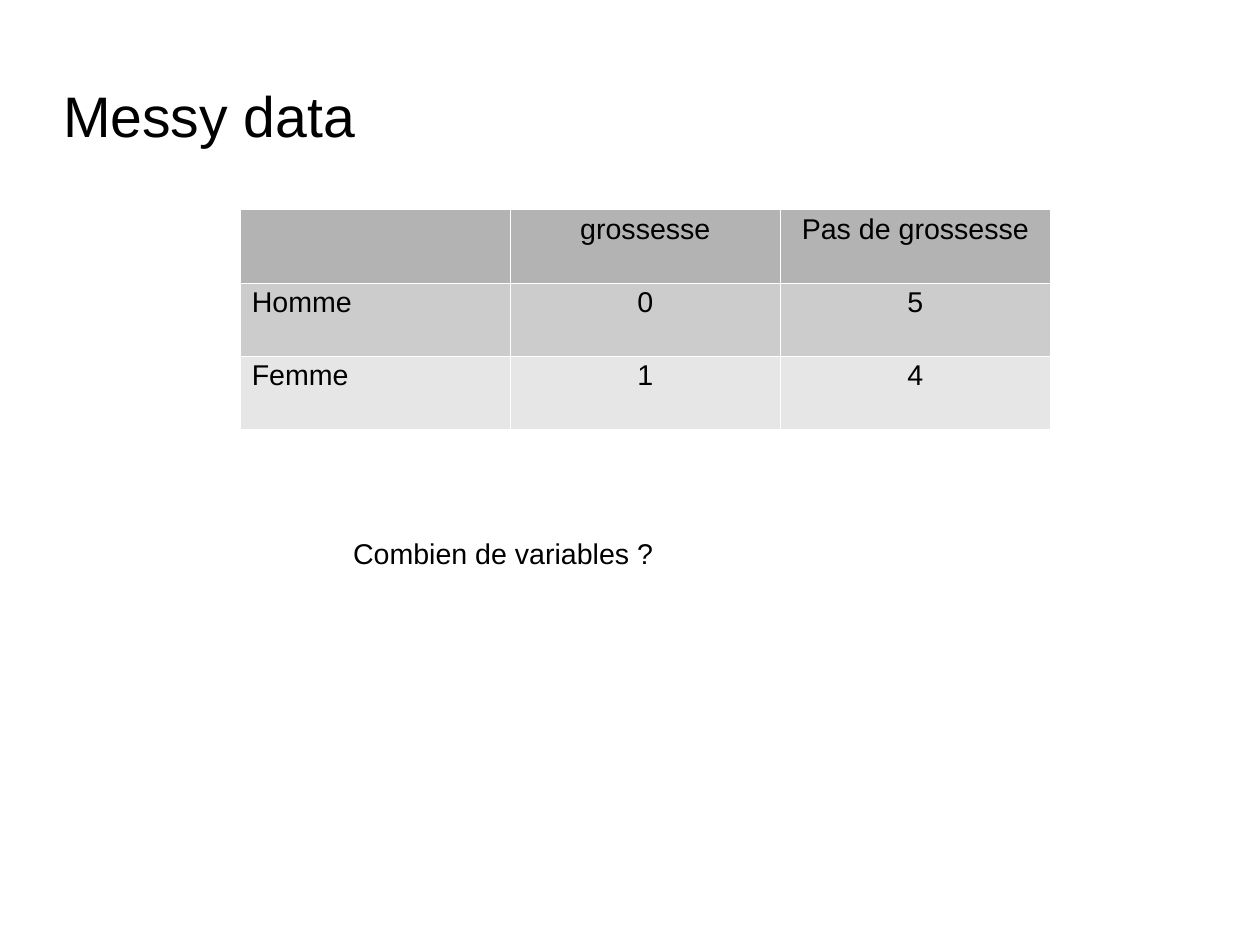
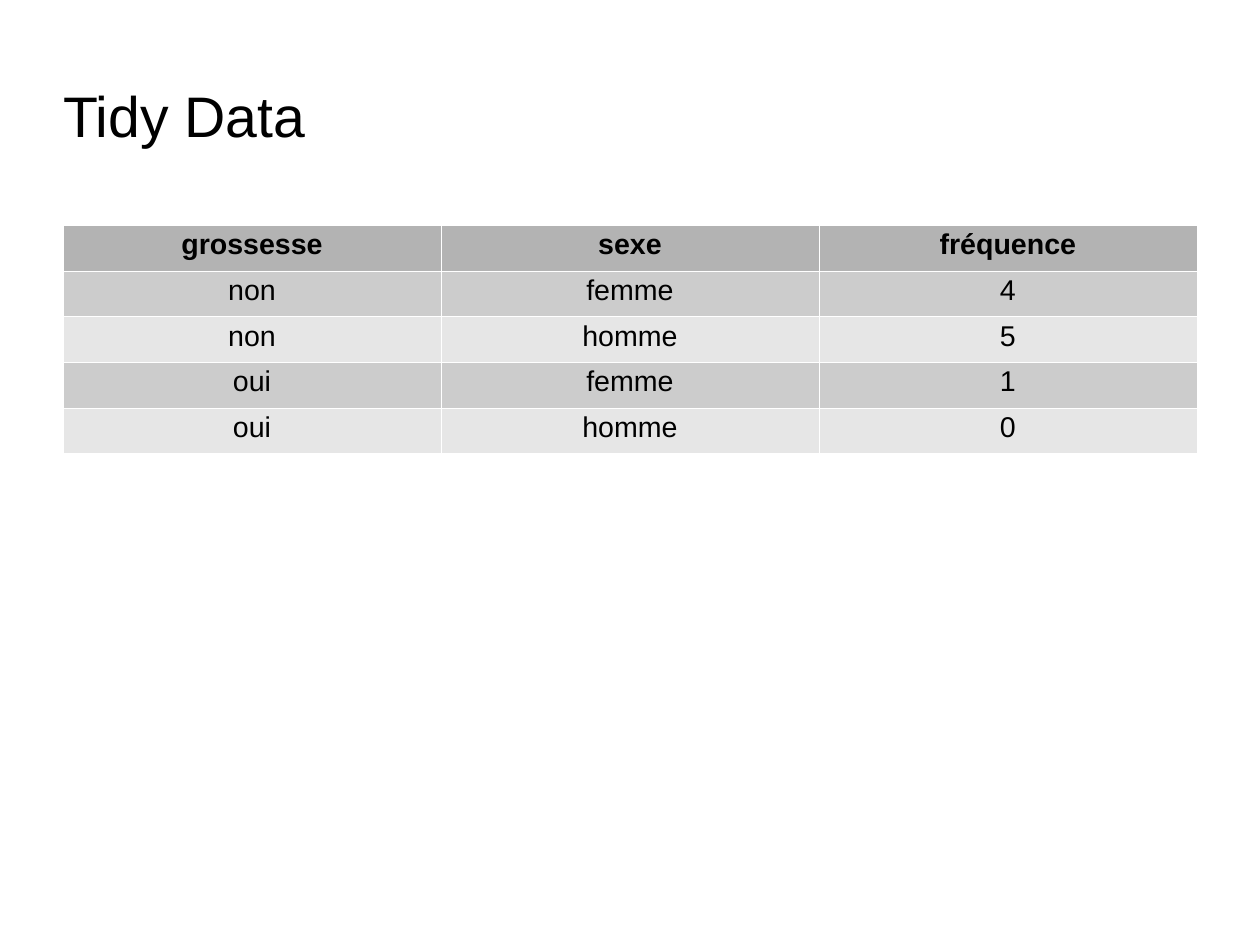
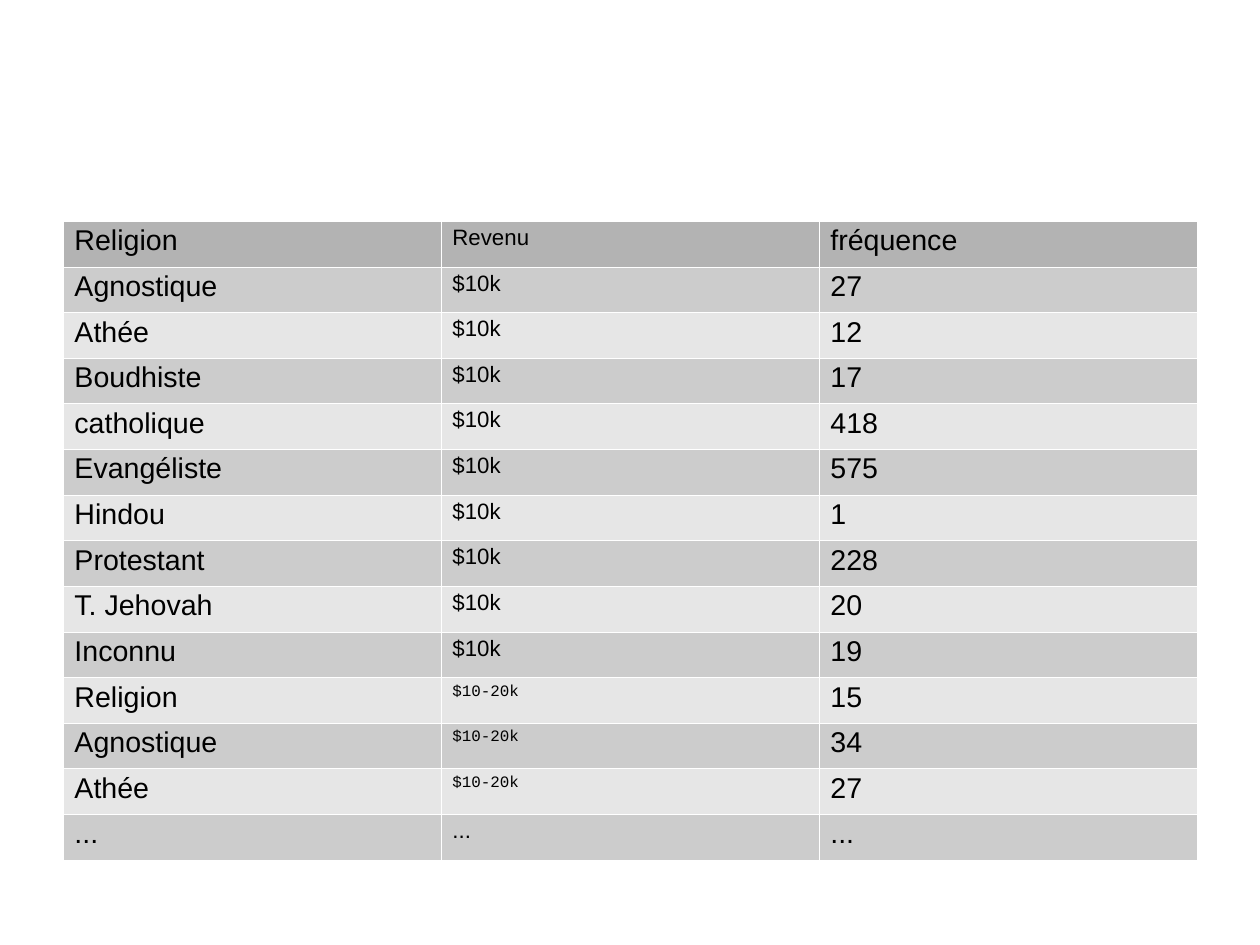
import lxml.etree
import pptx
import pptx.dml.color
import pptx.enum.text
import pptx.oxml.ns
import pptx.util

Pt = pptx.util.Pt
ALIGN = pptx.enum.text.PP_ALIGN
ANCHOR = pptx.enum.text.MSO_ANCHOR

COLORS = {
    "text": "000000",
    "header": "B3B3B3",
    "odd_row": "CCCCCC",
    "even_row": "E6E6E6",
    "border": "FFFFFF",
}
SANS, MONO = "Arial", "Courier New"
BODY_SIZE = 18
LINE_SPACING = 0.94
MARGIN = 39.7
TITLE_BOX = (MARGIN, 45.2, 566.9, 56.7)
WIDE_COLUMN = 238.1
ROW_HEIGHT = 28.76
BORDER_WIDTH = 0.06

INCOME_ROWS = [
    ("Agnostique", "$10k", "27"),
    ("Athée", "$10k", "12"),
    ("Boudhiste", "$10k", "17"),
    ("catholique", "$10k", "418"),
    ("Evangéliste", "$10k", "575"),
    ("Hindou", "$10k", "1"),
    ("Protestant", "$10k", "228"),
    ("T. Jehovah", "$10k", "20"),
    ("Inconnu", "$10k", "19"),
    ("Religion", "$10-20k", "15"),
    ("Agnostique", "$10-20k", "34"),
    ("Athée", "$10-20k", "27"),
    ("...", "...", "..."),
]


def color(name):
    return pptx.dml.color.RGBColor.from_string(COLORS[name])


def write(frame, text, size=BODY_SIZE, font=SANS, bold=False, align=ALIGN.LEFT,
          spacing=LINE_SPACING):
    para = frame.paragraphs[0]
    para.alignment = align
    para.line_spacing = spacing
    span = para.add_run()
    span.text = text
    span.font.size = Pt(size)
    span.font.name = font
    span.font.bold = bold
    span.font.color.rgb = color("text")


def add_text(page, box, insets, text, anchor=ANCHOR.TOP, **style):
    """Insets are left, top, right and bottom."""
    frame = page.shapes.add_textbox(*map(Pt, box)).text_frame
    frame.word_wrap = True
    frame.vertical_anchor = anchor
    (frame.margin_left, frame.margin_top,
     frame.margin_right, frame.margin_bottom) = map(Pt, insets)
    write(frame, text, **style)


def add_title(page, text):
    add_text(page, TITLE_BOX, (0, 2.2, 0, 0), text, ANCHOR.MIDDLE, size=36)


def add_borders(cell):
    properties = cell._tc.get_or_add_tcPr()
    qn = pptx.oxml.ns.qn
    for side in ("a:lnL", "a:lnR", "a:lnT", "a:lnB"):
        line = lxml.etree.SubElement(properties, qn(side), w=str(Pt(BORDER_WIDTH)))
        fill = lxml.etree.SubElement(line, qn("a:solidFill"))
        lxml.etree.SubElement(fill, qn("a:srgbClr"), val=COLORS["border"])


def row_color(row):
    if row == 0:
        return color("header")
    return color("odd_row" if row % 2 else "even_row")


def add_data_table(page, left, top, column_width, row_height, rows, style_for):
    """style_for(row, column, text) gives the text style of a cell."""
    row_count, column_count = len(rows), len(rows[0])
    table = page.shapes.add_table(
        row_count, column_count, Pt(left), Pt(top),
        Pt(column_width * column_count), Pt(row_height * row_count)).table
    table.first_row = table.horz_banding = False
    for column in table.columns:
        column.width = Pt(column_width)
    for row, texts in enumerate(rows):
        table.rows[row].height = Pt(row_height)
        for column, text in enumerate(texts):
            cell = table.cell(row, column)
            add_borders(cell)
            cell.fill.solid()
            cell.fill.fore_color.rgb = row_color(row)
            cell.margin_left = cell.margin_right = Pt(7.2)
            cell.margin_top = cell.margin_bottom = Pt(3.6)
            if text:
                write(cell.text_frame, text, **style_for(row, column, text))


def messy_style(row, column, text):
    return {"align": ALIGN.CENTER if column else ALIGN.LEFT}


def tidy_style(row, column, text):
    return {"align": ALIGN.CENTER, "bold": row == 0}


def income_style(row, column, text):
    if column != 1:
        return {}
    if text == "$10-20k":
        return {"size": 10, "font": MONO, "spacing": 0.96}
    return {"size": 14}


def build_messy_page(page):
    add_title(page, "Messy data")
    rows = [("", "grossesse", "Pas de grossesse"),
            ("Homme", "0", "5"),
            ("Femme", "1", "4")]
    add_data_table(page, 151.4, 131.9, 170.1, 46.15, rows, messy_style)
    add_text(page, (215.3, 334.8, 385.2, 27.4), (7.2, 4.3, 7.2, 3.6),
             "Combien de variables ?")


def build_tidy_page(page):
    add_title(page, "Tidy Data")
    rows = [("grossesse", "sexe", "fréquence"),
            ("non", "femme", "4"),
            ("non", "homme", "5"),
            ("oui", "femme", "1"),
            ("oui", "homme", "0")]
    add_data_table(page, MARGIN, 141.8, WIDE_COLUMN, ROW_HEIGHT, rows, tidy_style)


def build_income_page(page):
    rows = [("Religion", "Revenu", "fréquence")] + INCOME_ROWS
    add_data_table(page, MARGIN, 139.2, WIDE_COLUMN, ROW_HEIGHT, rows, income_style)


def main():
    deck = pptx.Presentation()
    deck.slide_width, deck.slide_height = Pt(793.7), Pt(595.3)
    for build in (build_messy_page, build_tidy_page, build_income_page):
        build(deck.slides.add_slide(deck.slide_layouts[6]))
    deck.save("out.pptx")


if __name__ == "__main__":
    main()
